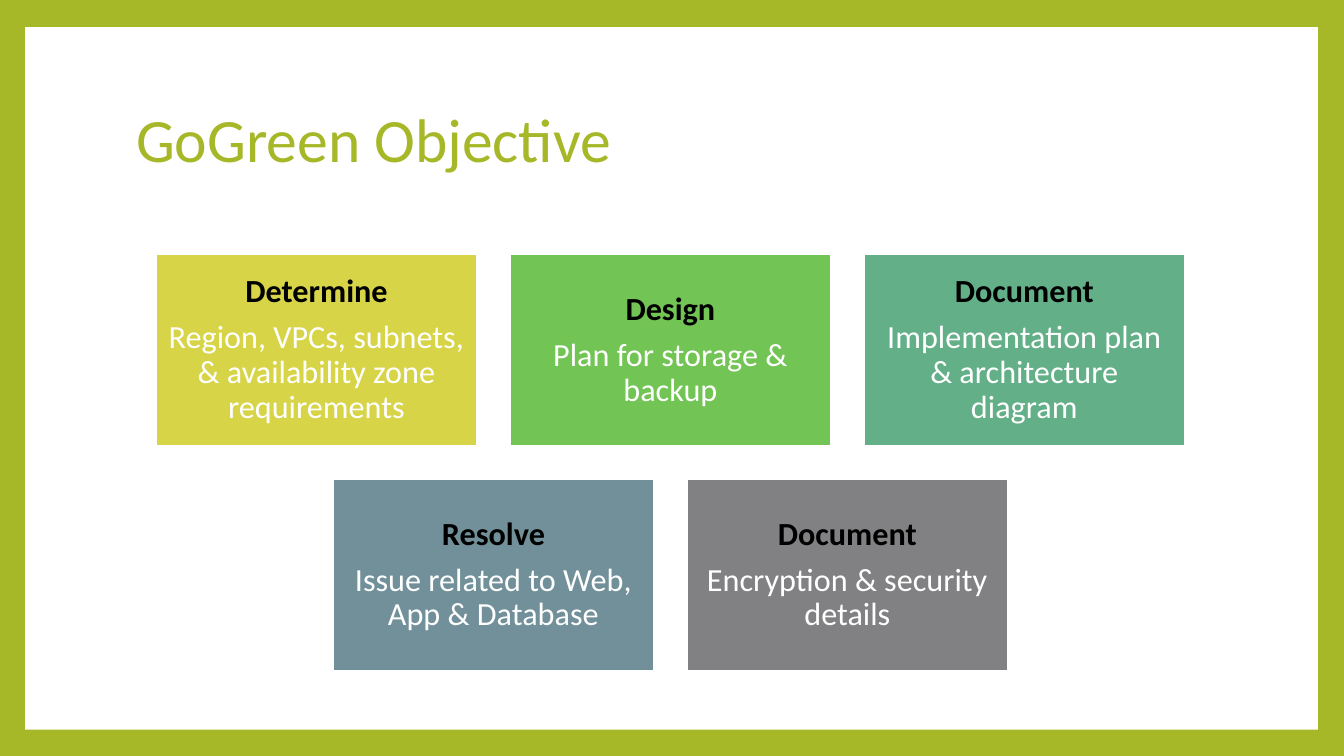
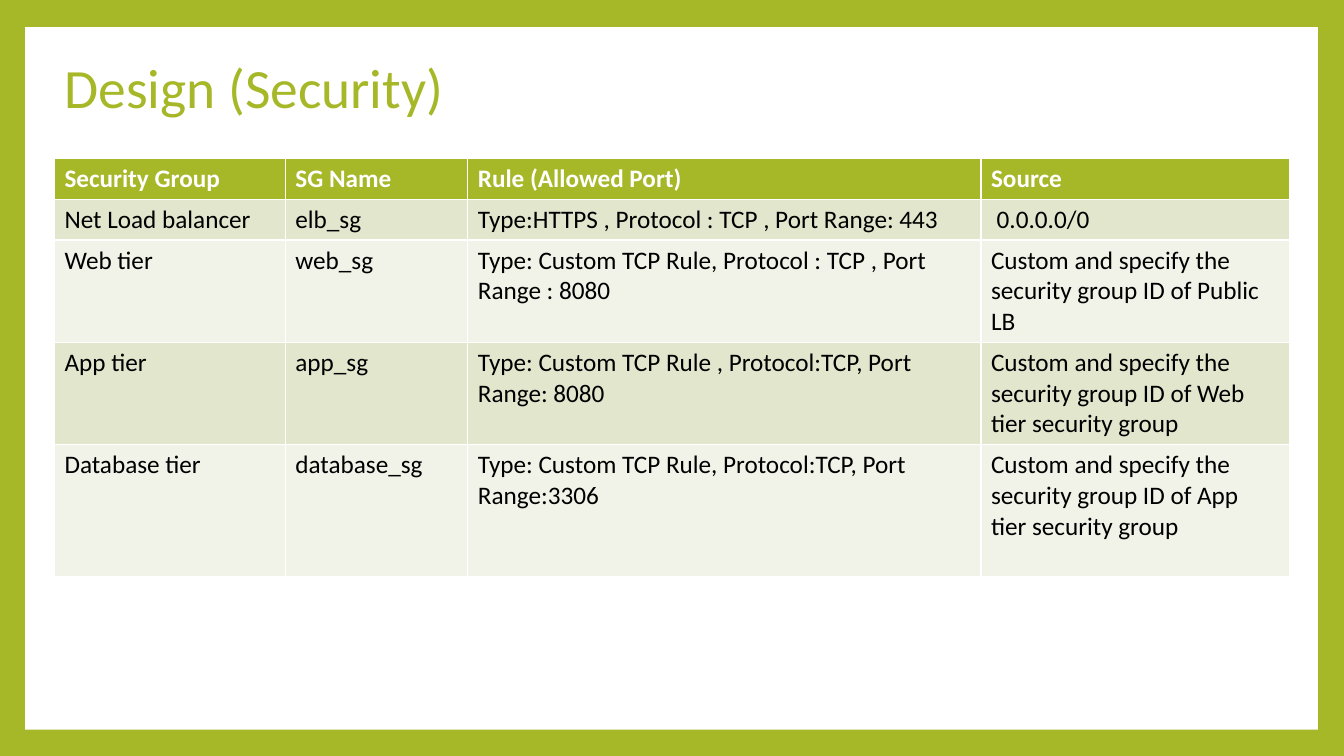
from pptx import Presentation
from pptx.dml.color import RGBColor
from pptx.enum.shapes import MSO_SHAPE
from pptx.enum.text import MSO_ANCHOR, PP_ALIGN
from pptx.util import Inches, Pt

GREEN = RGBColor(0xA6, 0xB7, 0x27)
WHITE = RGBColor(0xFF, 0xFF, 0xFF)
BLACK = RGBColor(0x00, 0x00, 0x00)
YELLOW = RGBColor(0xD7, 0xD4, 0x47)
LEAF = RGBColor(0x72, 0xC4, 0x54)
TEAL = RGBColor(0x62, 0xAF, 0x88)
SLATE = RGBColor(0x71, 0x90, 0x9A)
GRAY = RGBColor(0x81, 0x81, 0x83)
BAND_DARK = RGBColor(0xE1, 0xE6, 0xCD)
BAND_LIGHT = RGBColor(0xF1, 0xF3, 0xE8)
FONT = "Calibri"


def write_text(paragraph, text, size, color, bold=False, align=PP_ALIGN.LEFT,
               line_spacing=None, space_after=None):
    paragraph.text = text
    paragraph.alignment = align
    paragraph.line_spacing = line_spacing
    paragraph.space_after = space_after
    paragraph.font.name = FONT
    paragraph.font.size = Pt(size)
    paragraph.font.bold = bold
    paragraph.font.color.rgb = color


def add_titled_slide(title, left, top, width, height, size):
    slide = presentation.slides.add_slide(layout)
    shape = slide.shapes.title
    shape.left, shape.top = Inches(left), Inches(top)
    shape.width, shape.height = Inches(width), Inches(height)
    shape.text_frame.vertical_anchor = MSO_ANCHOR.MIDDLE
    write_text(shape.text_frame.paragraphs[0], title, size, GREEN, line_spacing=0.9)
    return slide


presentation = Presentation()
presentation.slide_width = Inches(13.33)
presentation.slide_height = Inches(7.5)
layout = presentation.slide_layouts[5]
layout.background.fill.solid()
layout.background.fill.fore_color.rgb = GREEN

objective_slide = add_titled_slide("GoGreen Objective", 1.25, 0.67, 10.8, 1.48, 44)

panel = objective_slide.shapes.add_shape(
    MSO_SHAPE.RECTANGLE, Inches(0.25), Inches(0.27), Inches(12.82), Inches(6.97))
panel.shadow.inherit = False
panel.fill.solid()
panel.fill.fore_color.rgb = WHITE
panel.line.fill.background()
layout.shapes.element.insert(2, panel.element)

BOX_WIDTH, BOX_HEIGHT, BOX_GAP = 3.19, 1.91, 0.32
BOXES_CENTER, BOXES_TOP = 6.65, 2.52
box_rows = [
    [("Determine", "Region, VPCs, subnets, & availability zone requirements", YELLOW),
     ("Design", "Plan for storage & backup", LEAF),
     ("Document", "Implementation plan & architecture diagram", TEAL)],
    [("Resolve", "Issue related to Web, App & Database", SLATE),
     ("Document", "Encryption & security details", GRAY)],
]
for row_index, boxes in enumerate(box_rows):
    row_width = len(boxes) * (BOX_WIDTH + BOX_GAP) - BOX_GAP
    top = BOXES_TOP + row_index * (BOX_HEIGHT + BOX_GAP)
    for column_index, (heading, detail, color) in enumerate(boxes):
        left = BOXES_CENTER - row_width / 2 + column_index * (BOX_WIDTH + BOX_GAP)
        box = objective_slide.shapes.add_shape(
            MSO_SHAPE.RECTANGLE, Inches(left), Inches(top),
            Inches(BOX_WIDTH), Inches(BOX_HEIGHT))
        box.shadow.inherit = False
        box.fill.solid()
        box.fill.fore_color.rgb = color
        box.line.color.rgb = WHITE
        box.line.width = Pt(1.5)
        frame = box.text_frame
        frame.word_wrap = True
        frame.vertical_anchor = MSO_ANCHOR.MIDDLE
        frame.margin_left = frame.margin_right = Inches(0.1)
        frame.margin_top = frame.margin_bottom = Inches(0.1)
        write_text(frame.paragraphs[0], heading, 23, BLACK, bold=True,
                   align=PP_ALIGN.CENTER, line_spacing=0.9, space_after=Pt(8))
        write_text(frame.add_paragraph(), detail, 23, WHITE,
                   align=PP_ALIGN.CENTER, line_spacing=0.9)

security_slide = add_titled_slide("Design (Security)", 0.54, 0.62, 6.47, 0.55, 39.6)

column_widths = [2.29, 1.81, 5.09, 3.06]
row_heights = [0.4, 0.4, 1.01, 1.01, 1.31]
security_rows = [
    ("Security Group", "SG Name", "Rule (Allowed Port)", "Source"),
    ("Net Load balancer", "elb_sg",
     "Type:HTTPS , Protocol : TCP , Port Range: 443", " 0.0.0.0/0"),
    ("Web tier", "web_sg",
     "Type: Custom TCP Rule, Protocol : TCP , Port Range : 8080",
     "Custom and specify the security group ID of Public LB"),
    ("App tier", "app_sg",
     "Type: Custom TCP Rule , Protocol:TCP, Port Range: 8080",
     "Custom and specify the security group ID of Web tier security group"),
    ("Database tier", "database_sg",
     "Type: Custom TCP Rule, Protocol:TCP, Port Range:3306",
     "Custom and specify the security group ID of App tier security group"),
]
table = security_slide.shapes.add_table(
    len(row_heights), len(column_widths), Inches(0.54), Inches(1.57),
    Inches(sum(column_widths)), Inches(sum(row_heights))).table
for column, width in zip(table.columns, column_widths):
    column.width = Inches(width)
for row_index, (row, height) in enumerate(zip(table.rows, row_heights)):
    row.height = Inches(height)
    is_header = row_index == 0
    band = BAND_DARK if row_index % 2 else BAND_LIGHT
    for cell, text in zip(row.cells, security_rows[row_index]):
        cell.fill.solid()
        cell.fill.fore_color.rgb = GREEN if is_header else band
        write_text(cell.text_frame.paragraphs[0], text, 18,
                   WHITE if is_header else BLACK, bold=is_header)

presentation.save("out.pptx")
